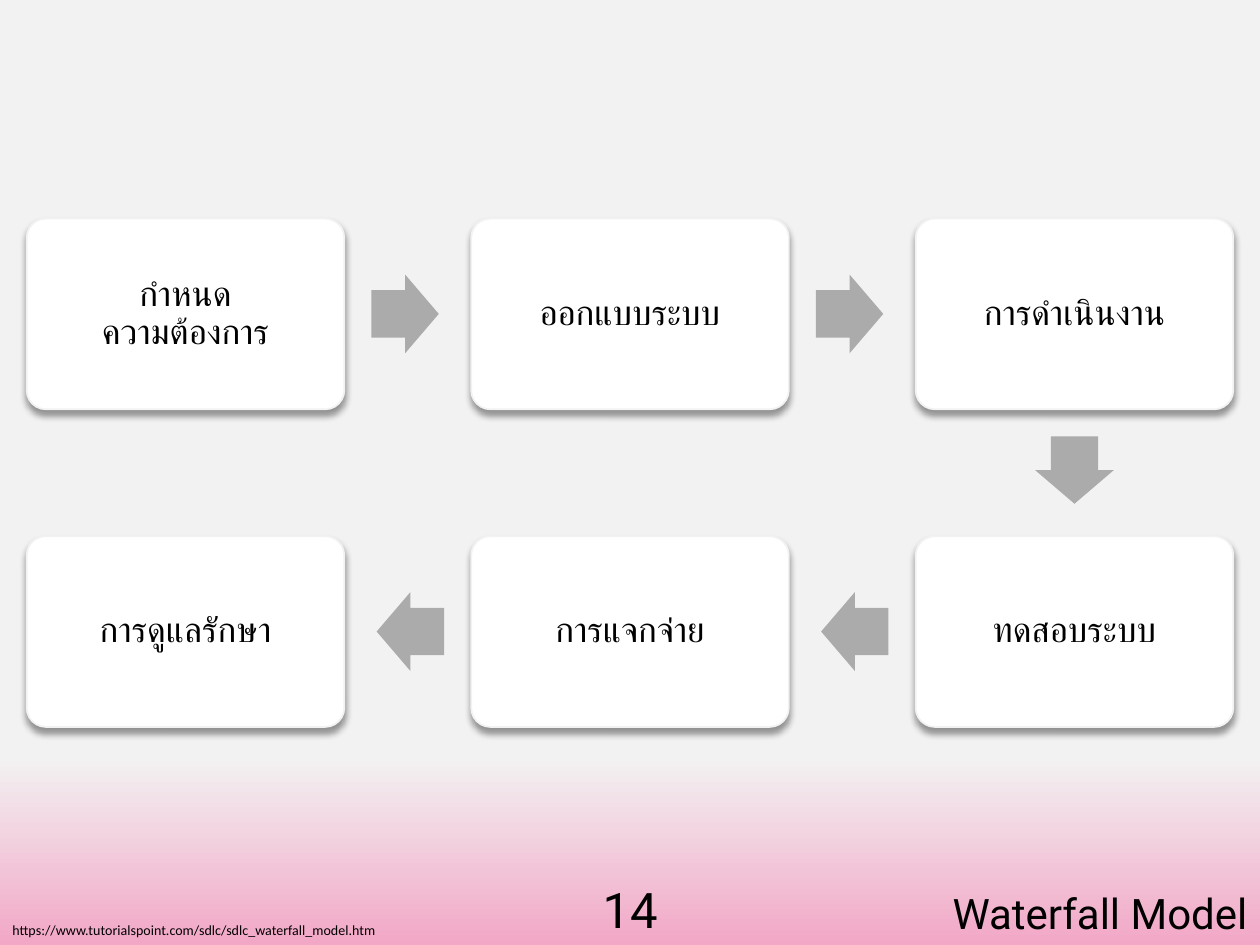
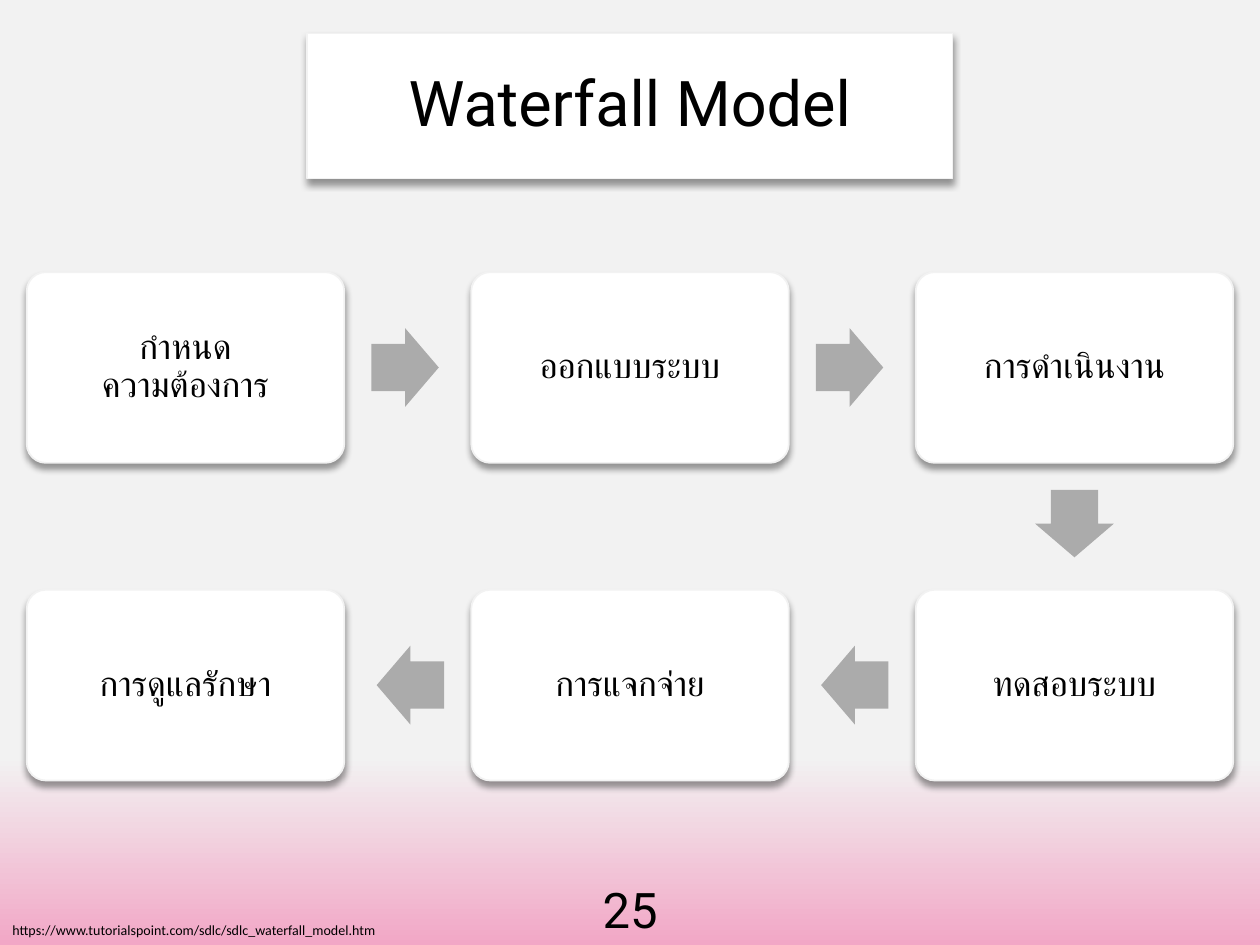
from lxml import etree
from pptx import Presentation
from pptx.dml.color import RGBColor
from pptx.enum.shapes import MSO_SHAPE
from pptx.enum.text import MSO_ANCHOR, MSO_AUTO_SIZE, PP_ALIGN
from pptx.oxml import parse_xml
from pptx.oxml.ns import nsdecls, qn
from pptx.util import Pt

TITLE = "Waterfall Model"
SOURCE = "https://www.tutorialspoint.com/sdlc/sdlc_waterfall_model.htm"
STEPS = [
    "กำหนด\vความต้องการ",
    "ออกแบบระบบ",
    "การดำเนินงาน",
    "ทดสอบระบบ",
    "การแจกจ่าย",
    "การดูแลรักษา",
]
PAGES = [
    {"number": "14", "flow_top": 124.9, "title_card": False},
    {"number": "25", "flow_top": 155.5, "title_card": True},
]

BLACK = RGBColor(0, 0, 0)
WHITE = RGBColor(255, 255, 255)
PALE = RGBColor(0xF2, 0xF2, 0xF2)
PINK = RGBColor(0xF2, 0xA7, 0xC6)
GREY = RGBColor(0xAB, 0xAB, 0xAB)

RECTANGLE = MSO_SHAPE.RECTANGLE
ROUNDED = MSO_SHAPE.ROUNDED_RECTANGLE
RIGHT, LEFT, DOWN = MSO_SHAPE.RIGHT_ARROW, MSO_SHAPE.LEFT_ARROW, MSO_SHAPE.DOWN_ARROW
ALIGN_LEFT, ALIGN_CENTER, ALIGN_RIGHT = PP_ALIGN.LEFT, PP_ALIGN.CENTER, PP_ALIGN.RIGHT
MIDDLE = MSO_ANCHOR.MIDDLE
GROW = MSO_AUTO_SIZE.SHAPE_TO_FIT_TEXT

SLIDE_WIDTH, SLIDE_HEIGHT = 720, 540
COLUMNS = 3
CARD_WIDTH, CARD_HEIGHT = 181.5, 109
COLUMN_STEP, ROW_STEP = 254, 181.5
FLOW_LEFT = (SLIDE_WIDTH - 2 * COLUMN_STEP - CARD_WIDTH) / 2
ARROW_LENGTH, ARROW_BREADTH, ARROW_GAP = 38.5, 45, 15.5

SHADOW = (
    f'<a:outerShdw {nsdecls("a")} blurRad="{Pt(4)}" dist="{Pt(3)}" dir="5400000" '
    'algn="ctr" rotWithShape="0">'
    '<a:srgbClr val="000000"><a:alpha val="40000"/></a:srgbClr></a:outerShdw>'
)


def write(box, text, size, font="Roboto", align=ALIGN_CENTER, spacing=None, inset=None):
    frame = box.text_frame
    frame.word_wrap = True
    if inset is not None:
        frame.margin_left = frame.margin_right = Pt(inset)
        frame.margin_top = frame.margin_bottom = Pt(inset)
        frame.vertical_anchor = MIDDLE
    para = frame.paragraphs[0]
    para.text = text
    para.alignment = align
    if spacing:
        para.line_spacing = spacing
    for span in para.runs:
        span.font.name = font
        span.font.size = Pt(size)
        span.font.color.rgb = BLACK


def add_label(page, text, left, top, width, height, size, **style):
    box = page.shapes.add_textbox(Pt(left), Pt(top), Pt(width), Pt(height))
    write(box, text, size, **style)
    box.text_frame.auto_size = GROW


def add_figure(page, kind, left, top, width, height, fill):
    figure = page.shapes.add_shape(kind, Pt(left), Pt(top), Pt(width), Pt(height))
    figure.fill.solid()
    figure.fill.fore_color.rgb = fill
    figure.line.fill.background()
    figure.shadow.inherit = False
    return figure


def add_card(page, kind, text, left, top, width, height, size, border, inset):
    card = add_figure(page, kind, left, top, width, height, WHITE)
    card.line.color.rgb = PALE
    card.line.width = Pt(border)
    card._element.spPr.find(qn("a:effectLst")).append(parse_xml(SHADOW))
    write(card, text, size, spacing=0.9, inset=inset)
    return card


def add_arrow(page, kind, card_left, card_top):
    middle = card_top + (CARD_HEIGHT - ARROW_BREADTH) / 2
    if kind == DOWN:
        center = card_left + (CARD_WIDTH - ARROW_BREADTH) / 2
        place = (center, card_top + CARD_HEIGHT + ARROW_GAP, ARROW_BREADTH, ARROW_LENGTH)
    elif kind == RIGHT:
        place = (card_left + CARD_WIDTH + ARROW_GAP, middle, ARROW_LENGTH, ARROW_BREADTH)
    else:
        place = (card_left - ARROW_GAP - ARROW_LENGTH, middle, ARROW_LENGTH, ARROW_BREADTH)
    arrow = add_figure(page, kind, *place, GREY)
    arrow.adjustments[0] = 0.6
    arrow.adjustments[1] = 0.5


def add_flow(page, flow_top):
    for index, step in enumerate(STEPS):
        row, column = divmod(index, COLUMNS)
        backwards = row % 2 == 1
        row_end = column == COLUMNS - 1
        if backwards:
            column = COLUMNS - 1 - column
        left = FLOW_LEFT + column * COLUMN_STEP
        top = flow_top + row * ROW_STEP
        card = add_card(page, ROUNDED, step, left, top, CARD_WIDTH, CARD_HEIGHT, 20, 1, 24.5)
        card.adjustments[0] = 0.1
        if index < len(STEPS) - 1:
            kind = DOWN if row_end else LEFT if backwards else RIGHT
            add_arrow(page, kind, left, top)


def paint_background(page):
    fill = page.background.fill
    fill.gradient()
    fill.gradient_angle = 270
    for stop, position, color in zip(fill.gradient_stops, (0.8, 1), (PALE, PINK)):
        stop.position = position
        stop.color.rgb = color


def add_page(deck, number, flow_top, title_card):
    page = deck.slides.add_slide(deck.slide_layouts[6])
    paint_background(page)
    add_label(page, number, 312, 498.8, 96, 41.2, 28)
    if title_card:
        add_card(page, RECTANGLE, TITLE, 175.5, 19, 369, 83, 36, 0.75, 21.6)
    else:
        add_label(page, TITLE, 321, 503.6, 399, 36.4, 24, align=ALIGN_RIGHT)
    add_label(page, SOURCE, 0, 523, 310, 17, 8, font="Calibri", align=ALIGN_LEFT)
    add_flow(page, flow_top)


def main():
    deck = Presentation()
    deck.slide_width, deck.slide_height = Pt(SLIDE_WIDTH), Pt(SLIDE_HEIGHT)
    for content in PAGES:
        add_page(deck, **content)
    deck.save("out.pptx")


if __name__ == "__main__":
    main()
